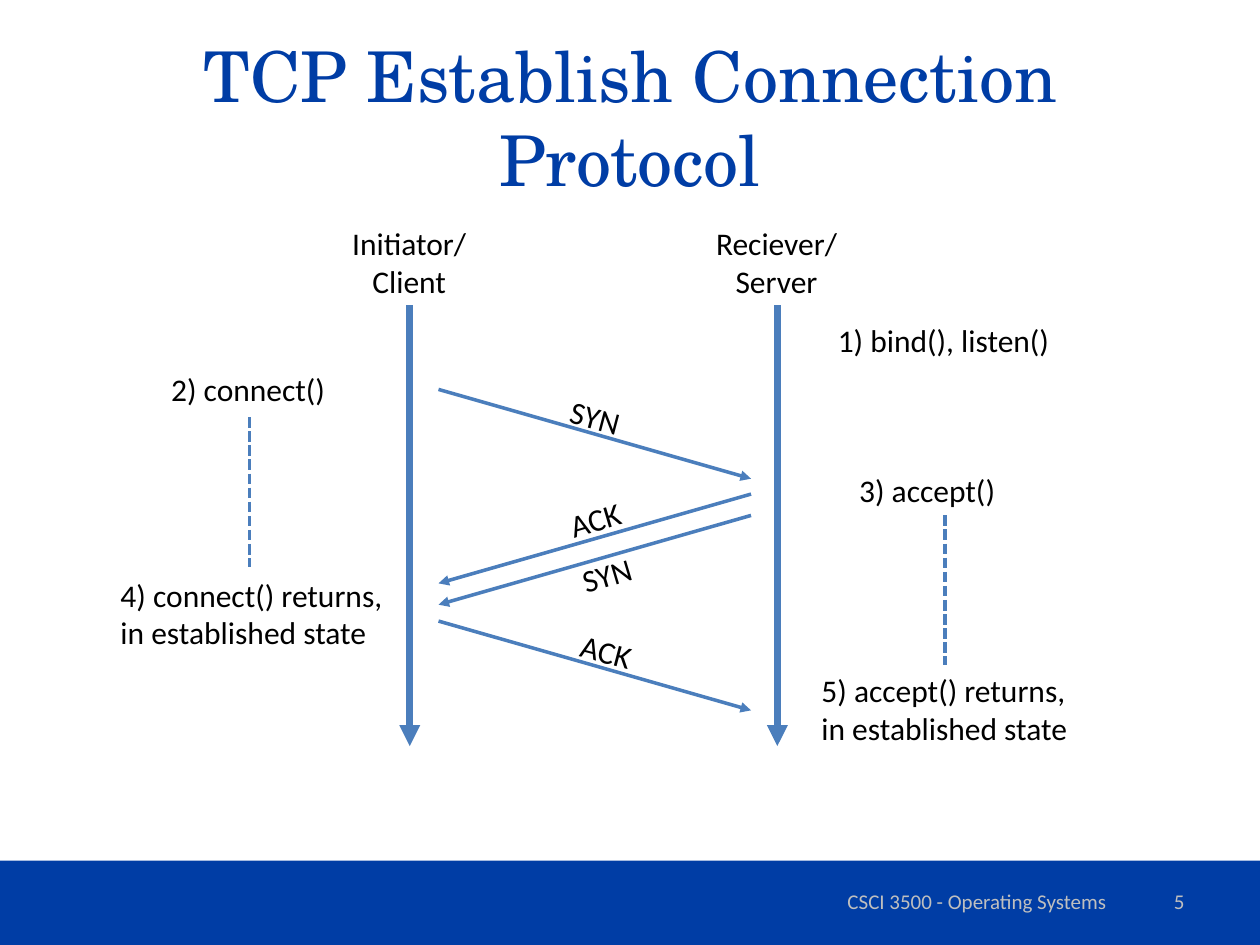
from lxml import etree
from pptx import Presentation
from pptx.dml.color import RGBColor
from pptx.enum.dml import MSO_LINE
from pptx.enum.shapes import MSO_CONNECTOR, MSO_SHAPE
from pptx.enum.text import MSO_ANCHOR, MSO_AUTO_SIZE, PP_ALIGN
from pptx.oxml.ns import qn
from pptx.util import Cm, Pt

STRAIGHT = MSO_CONNECTOR.STRAIGHT
RECTANGLE = MSO_SHAPE.RECTANGLE
DASHED = MSO_LINE.SQUARE_DOT
LEFT, CENTER, RIGHT = PP_ALIGN.LEFT, PP_ALIGN.CENTER, PP_ALIGN.RIGHT
TOP, MIDDLE = MSO_ANCHOR.TOP, MSO_ANCHOR.MIDDLE
NO_FIT, FIT_SHAPE = MSO_AUTO_SIZE.NONE, MSO_AUTO_SIZE.SHAPE_TO_FIT_TEXT

COLORS = {
    "brand": "003DA5",
    "line": "4B7EBC",
    "text": "000000",
    "footer": "BFBFBF",
}
TITLE_FONT, BODY_FONT = "TeX Gyre Schola", "Calibri"
LINE_HEIGHT, TWO_LINES = 1.02, 1.8

prs = Presentation()
prs.slide_width, prs.slide_height = Cm(25.4), Cm(19.05)
slide = prs.slides.add_slide(prs.slide_layouts[5])


def write(frame, text, font_name, size, color, align, anchor, wrap, fit):
    frame.text = text
    frame.word_wrap = wrap
    frame.auto_size = fit
    frame.vertical_anchor = anchor
    for paragraph in frame.paragraphs:
        paragraph.alignment = align
        paragraph.font.name = font_name
        paragraph.font.size = Pt(size)
        paragraph.font.color.rgb = RGBColor.from_string(COLORS[color])


def draw_line(x1, y1, x2, y2, width, arrow):
    connector = slide.shapes.add_connector(STRAIGHT, Cm(x1), Cm(y1), Cm(x2), Cm(y2))
    connector.line.color.rgb = RGBColor.from_string(COLORS["line"])
    connector.line.width = Pt(width)
    if arrow:
        etree.SubElement(connector.line._get_or_add_ln(), qn("a:tailEnd"), type="triangle")
    else:
        connector.line.dash_style = DASHED
    etree.SubElement(connector._element.spPr, qn("a:effectLst"))


footer_band = slide.shapes.add_shape(RECTANGLE, 0, Cm(17.35), prs.slide_width, Cm(1.7))
footer_band.shadow.inherit = False
footer_band.fill.solid()
footer_band.fill.fore_color.rgb = RGBColor.from_string(COLORS["brand"])
footer_band.line.fill.background()

title = slide.shapes.title
title.left, title.top, title.width, title.height = Cm(1.27), Cm(0.76), Cm(22.86), Cm(3.18)
write(title.text_frame, "TCP Establish Connection Protocol", TITLE_FONT, 40, "brand",
      CENTER, MIDDLE, True, NO_FIT)

for text, left, width, align in [
    ("CSCI 3500 - Operating Systems", 15.67, 8.05, CENTER),
    ("5", 18.21, 5.92, RIGHT),
]:
    footer = slide.shapes.add_textbox(Cm(left), Cm(17.65), Cm(width), Cm(LINE_HEIGHT))
    write(footer.text_frame, text, BODY_FONT, 12, "footer", align, MIDDLE, True, NO_FIT)

for lifeline_x in (8.26, 15.67):
    draw_line(lifeline_x, 6.15, lifeline_x, 15.04, 4, True)

for wait_x, wait_start in [(5.03, 8.41), (19.05, 10.39)]:
    draw_line(wait_x, wait_start, wait_x, wait_start + 3.02, 2, False)

client_x, server_x, message_drop = 8.84, 15.14, 1.8
for sender_x, receiver_x, sent_y in [
    (client_x, server_x, 7.85),
    (client_x, server_x, 12.52),
    (server_x, client_x, 9.96),
    (server_x, client_x, 10.39),
]:
    draw_line(sender_x, sent_y, receiver_x, sent_y + message_drop, 2, True)

to_server, to_client = 14.8, -16.6
for text, left, top, width, height, align, rotation in [
    ("Initiator/\vClient", 6.83, 4.39, 2.84, TWO_LINES, CENTER, 0),
    ("Reciever/\vServer", 14.17, 4.39, 2.97, TWO_LINES, CENTER, 0),
    ("1) bind(), listen()", 16.64, 6.35, 4.83, LINE_HEIGHT, LEFT, 0),
    ("2) connect()", 3.2, 7.34, 3.66, LINE_HEIGHT, LEFT, 0),
    ("3) accept()", 17.07, 9.37, 3.3, LINE_HEIGHT, LEFT, 0),
    ("4) connect() returns,\vin established state", 2.18, 11.48, 5.87, TWO_LINES, LEFT, 0),
    ("5) accept() returns,\nin established state", 16.31, 13.41, 5.49, TWO_LINES, LEFT, 0),
    ("SYN", 11.25, 7.9, 1.52, LINE_HEIGHT, LEFT, to_server),
    ("ACK", 11.46, 12.62, 1.55, LINE_HEIGHT, LEFT, to_server),
    ("ACK", 11.23, 9.96, 1.55, LINE_HEIGHT, LEFT, to_client),
    ("SYN", 11.48, 11.07, 1.52, LINE_HEIGHT, LEFT, to_client),
]:
    label = slide.shapes.add_textbox(Cm(left), Cm(top), Cm(width), Cm(height))
    label.rotation = rotation
    write(label.text_frame, text, BODY_FONT, 18, "text", align, TOP, False, FIT_SHAPE)

prs.save("out.pptx")
